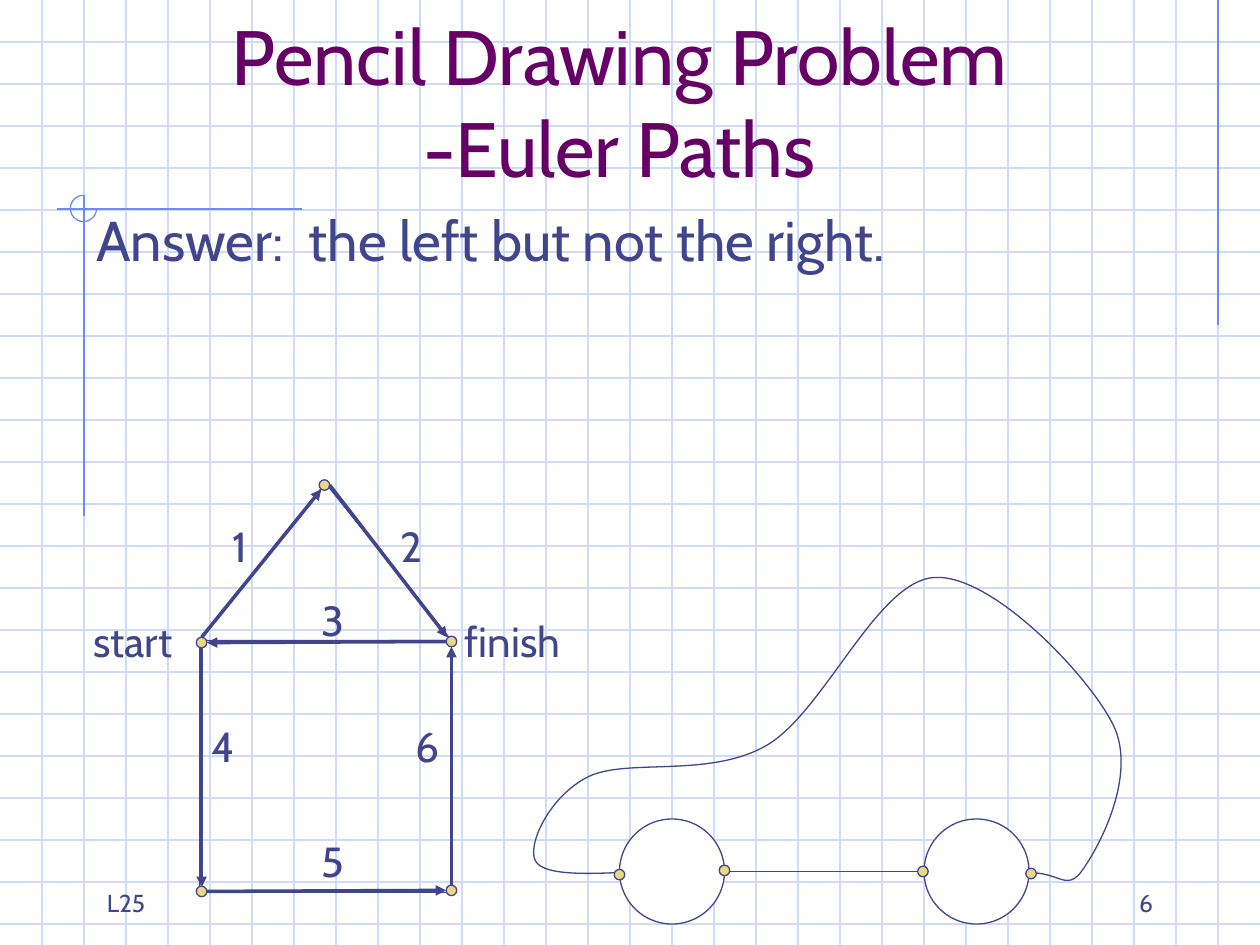
from dataclasses import dataclass

from lxml import etree
from pptx import Presentation
from pptx import util as u
from pptx.dml.color import RGBColor
from pptx.enum import shapes, text
from pptx.oxml import ns

# Drafting grid: 120 columns by 90 rows; every length is in columns or rows
COLUMNS, ROWS, RULED = 120, 90, 4
STEP = u.Inches(10) / COLUMNS
LEFT, CENTER, RIGHT = text.PP_ALIGN.LEFT, text.PP_ALIGN.CENTER, text.PP_ALIGN.RIGHT
TOP, BOTTOM = text.MSO_ANCHOR.TOP, text.MSO_ANCHOR.BOTTOM


@dataclass(frozen=True)
class Theme:
    face: str = "Cabin"
    title: str = "660066"
    ink: str = "40458C"
    rule: str = "CFDBFD"
    accent: str = "6F89F7"
    dot: str = "ECD882"
    paper: str = "FFFFFF"
    title_size: int = 44
    body_size: int = 32
    label_size: int = 24
    footer_size: int = 14
    thin: float = 0.75
    thick: float = 2


THEME = Theme()


def grid(*cells):
    return [u.Emu(round(cell * STEP)) for cell in cells]


def color(code):
    return RGBColor.from_string(code)


def style_line(item, ink, width):
    item.line.color.rgb = color(ink)
    item.line.width = u.Pt(width)


def add_line(page, start, end, ink=THEME.ink, width=THEME.thin, arrow=False):
    line = page.shapes.add_connector(
        shapes.MSO_CONNECTOR.STRAIGHT, *grid(*start, *end))
    style_line(line, ink, width)
    properties = line._element.spPr
    if arrow:
        etree.SubElement(properties.find(ns.qn("a:ln")), ns.qn("a:tailEnd"), type="triangle")
    etree.SubElement(properties, ns.qn("a:effectLst"))


def finish_shape(shape, fill=None, ink=THEME.ink):
    shape.shadow.inherit = False
    if fill:
        shape.fill.solid()
        shape.fill.fore_color.rgb = color(fill)
    else:
        shape.fill.background()
    style_line(shape, ink, THEME.thin)
    return shape


def add_outline(page, kind, area, fill=None, ink=THEME.ink):
    return finish_shape(page.shapes.add_shape(kind, *grid(*area)), fill, ink)


def add_circle(page, middle, size, fill):
    x, y = middle
    area = (x - size / 2, y - size / 2, size, size)
    add_outline(page, shapes.MSO_SHAPE.OVAL, area, fill)


def add_text(page, words, area, size, ink=THEME.ink, align=LEFT, anchor=TOP, wrap=True):
    box = page.shapes.add_textbox(*grid(*area))
    frame = box.text_frame
    frame.word_wrap = wrap
    frame.vertical_anchor = anchor
    para = frame.paragraphs[0]
    para.text = words
    para.alignment = align
    look = {"name": THEME.face, "size": u.Pt(size)}
    for span in para.runs:
        for name, value in look.items():
            setattr(span.font, name, value)
        span.font.color.rgb = color(ink)


def add_curve(page, points, last_handle):
    """Draw a smooth curve whose tangents run parallel to the neighbours' chord."""
    def handle(index, sign):
        before, here, after = points[index - 1:index + 2]
        return tuple(h + sign * (a - b) / 6 for b, h, a in zip(before, here, after))

    first_end = handle(1, -1)
    first_start = tuple((p + q) / 2 for p, q in zip(points[0], first_end))
    path = [first_start, first_end, points[1]]
    for index in range(1, len(points) - 1):
        is_last = index == len(points) - 2
        arrival = last_handle if is_last else handle(index + 1, -1)
        path += [handle(index, 1), arrival, points[index + 1]]

    builder = page.shapes.build_freeform(*grid(*points[0]))
    builder.add_line_segments([grid(*point) for point in path], close=False)
    curve = finish_shape(builder.convert_to_shape())
    # Each three straight steps become one Bezier segment
    steps = list(curve._element.iter(ns.qn("a:lnTo")))
    for index in range(0, len(steps), 3):
        bezier = etree.Element(ns.qn("a:cubicBezTo"))
        steps[index].addprevious(bezier)
        for step in steps[index:index + 3]:
            bezier.append(step[0])
            step.getparent().remove(step)


def draw_paper(page):
    for row in range(RULED, ROWS, RULED):
        add_line(page, (0, row), (COLUMNS, row), THEME.rule)
    for column in range(RULED, COLUMNS, RULED):
        add_line(page, (column, 0), (column, ROWS), THEME.rule)
    # Accent rules and the three-quarter ring at their crossing
    for start, end in (((116, 0), (116, 31)), ((28.8, 19.9), (5.4, 19.9)), ((8, 18.6), (8, 49.1))):
        add_line(page, start, end, THEME.accent)
    ring = add_outline(page, shapes.MSO_SHAPE.ARC, (6.7, 18.6, 2.5, 2.5), ink=THEME.accent)
    ring.adjustments[0], ring.adjustments[1] = 0, 162


def draw_house(page):
    add_outline(page, shapes.MSO_SHAPE.RECTANGLE, (19, 61, 24, 24))
    add_outline(page, shapes.MSO_SHAPE.ISOSCELES_TRIANGLE, (19, 46, 24, 15))
    for corner in ((30.9, 46.2), (43, 61.1), (19.2, 61.2), (43, 84.8), (19.2, 84.9)):
        add_circle(page, corner, 1, THEME.dot)


def draw_car(page):
    body = [(61, 83), (51, 82), (56, 74), (73, 71), (89, 55), (106, 69), (103, 83), (95, 84)]
    add_curve(page, body, last_handle=(100.3, 81.5))
    add_line(page, (67, 83), (89, 83))
    for hub in ((93, 83), (64, 83)):
        add_circle(page, hub, 10, THEME.paper)
    for joint in ((87.9, 83), (69, 82.9), (98.2, 83.2), (59, 83.3)):
        add_circle(page, joint, 1, THEME.dot)


def draw_route(page):
    # Number, its place, then the start and end of its arrow
    route = [
        ("1", (21, 49), (19.2, 60.7), (30.6, 46.6)),
        ("2", (37, 49), (31.4, 46.2), (42.6, 60.7)),
        ("3", (29.4, 56), (42.5, 61.1), (19.7, 61.2)),
        ("4", (19, 68), (19.2, 61.7), (19.2, 84.5)),
        ("5", (29.4, 79), (19.7, 84.9), (42.5, 84.8)),
        ("6", (38.4, 68), (43, 84.4), (43, 61.6)),
    ]
    for number, place, start, end in route:
        add_line(page, start, end, width=THEME.thick, arrow=True)
        add_text(page, number, (*place, 4.7, 6), THEME.label_size, wrap=False)
    for word, area in (("start", (7.7, 58, 11, 6)), ("finish", (43.1, 58, 12.7, 6))):
        add_text(page, word, area, THEME.label_size, wrap=False)


def main():
    deck = Presentation()
    deck.slide_width, deck.slide_height = grid(COLUMNS, ROWS)
    page = deck.slides.add_slide(deck.slide_layouts[6])
    draw_paper(page)
    # Heading and answer
    add_text(page, "Pencil Drawing Problem\v-Euler Paths", (8, 4, 102, 15),
             THEME.title_size, THEME.title, CENTER, BOTTOM)
    add_text(page, "Answer:  the left but not the right.", (8, 19, 102, 54), THEME.body_size)
    # The two drawings
    draw_house(page)
    draw_car(page)
    draw_route(page)
    # Footer
    add_text(page, "6", (86, 82, 25, 6), THEME.footer_size, align=RIGHT, anchor=BOTTOM)
    add_text(page, "L25", (9, 82, 25, 6), THEME.footer_size, anchor=BOTTOM)
    deck.save("out.pptx")


if __name__ == "__main__":
    main()
